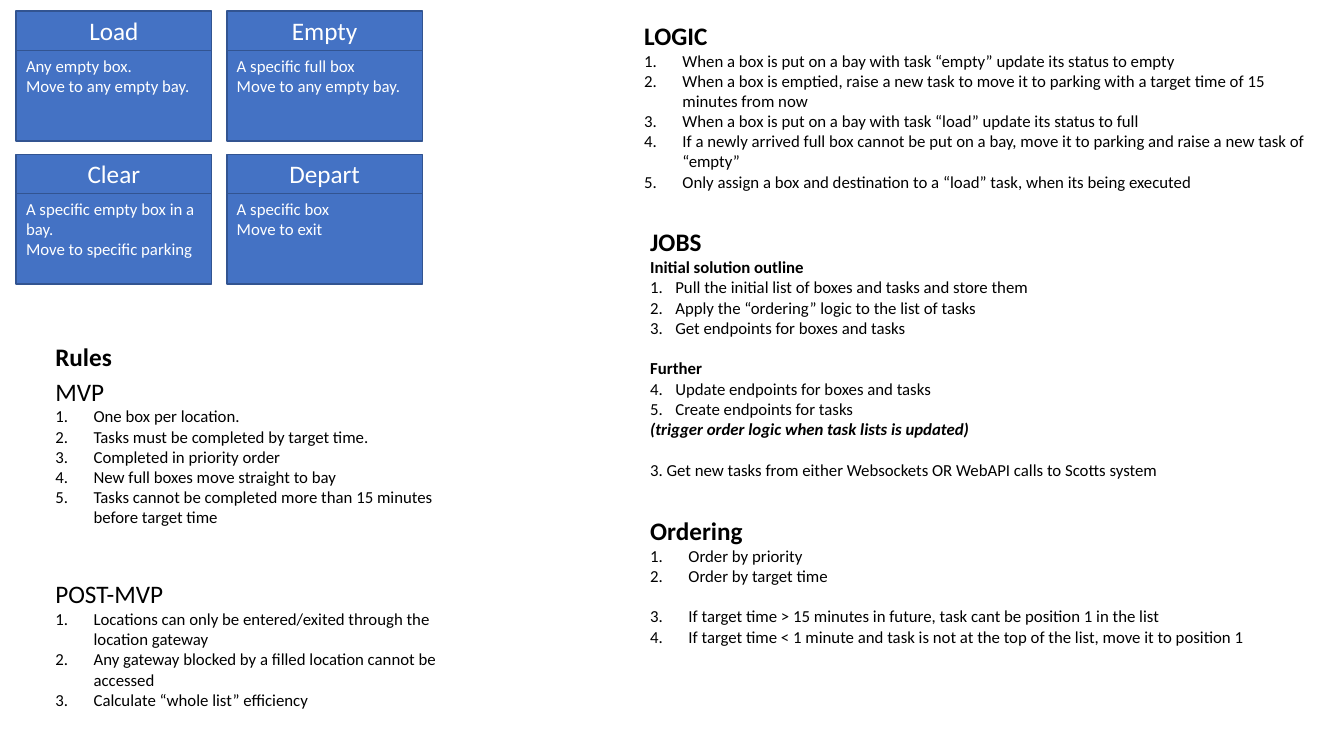
from dataclasses import dataclass

from lxml import etree
from pptx import Presentation
from pptx import util as u
from pptx.dml.color import RGBColor
from pptx.enum import shapes, text
from pptx.oxml.ns import qn


@dataclass(frozen=True)
class Theme:
    font: str = "Calibri"
    ink: str = "000000"
    card_fill: str = "4472C4"
    card_line: str = "325491"
    card_ink: str = "FFFFFF"
    heading: int = 18
    body: int = 12
    blank_line: float = 14.65


@dataclass(frozen=True)
class Line:
    words: str
    size: int
    bold: bool = False
    italic: bool = False
    number_from: int = 0
    gap: bool = False


class Board:
    def __init__(self, page, theme):
        self.page = page
        self.theme = theme

    def heading(self, words, bold=True):
        return Line(words, self.theme.heading, bold)

    def body(self, words, **options):
        return Line(words, self.theme.body, **options)

    def items(self, *entries, start=1):
        return [self.body(words, number_from=start) for words in entries]

    def set_lines(self, frame, lines, ink, indent=0.38, align=text.PP_ALIGN.LEFT):
        frame.word_wrap = True
        frame.text = "\n".join(line.words for line in lines)
        for para, line in zip(frame.paragraphs, lines):
            para.alignment = align
            if line.gap:
                para.space_before = u.Pt(self.theme.blank_line)
            if line.number_from:
                self.number(para, line.number_from, indent)
            for span in para.runs:
                span.font.name = self.theme.font
                span.font.size = u.Pt(line.size)
                span.font.bold = line.bold
                span.font.italic = line.italic
                span.font.color.rgb = RGBColor.from_string(ink)

    def number(self, para, start, indent):
        settings = para._p.get_or_add_pPr()
        settings.set("marL", str(u.Inches(indent)))
        settings.set("indent", str(-u.Inches(indent)))
        etree.SubElement(settings, qn("a:buFont"), typeface="+mj-lt")
        marker = etree.SubElement(settings, qn("a:buAutoNum"), type="arabicPeriod")
        if start > 1:
            marker.set("startAt", str(start))

    def notes(self, left, top, width, height, lines, indent=0.38):
        box = self.page.shapes.add_textbox(
            u.Inches(left), u.Inches(top), u.Inches(width), u.Inches(height))
        self.set_lines(box.text_frame, lines, self.theme.ink, indent)
        box.text_frame.auto_size = text.MSO_AUTO_SIZE.SHAPE_TO_FIT_TEXT

    def panel(self, group, left, top, width, height, lines, anchor, align):
        box = group.shapes.add_shape(
            shapes.MSO_SHAPE.RECTANGLE,
            u.Inches(left), u.Inches(top), u.Inches(width), u.Inches(height))
        box.shadow.inherit = False
        box.fill.solid()
        box.fill.fore_color.rgb = RGBColor.from_string(self.theme.card_fill)
        box.line.color.rgb = RGBColor.from_string(self.theme.card_line)
        box.line.width = u.Pt(1)
        box.text_frame.vertical_anchor = anchor
        self.set_lines(box.text_frame, lines, self.theme.card_ink, align=align)

    def card(self, left, top, title, details):
        width, title_height, details_height = 1.94, 0.39, 0.9
        group = self.page.shapes.add_group_shape()
        self.panel(group, left, top, width, title_height,
                   [self.heading(title, bold=False)],
                   text.MSO_ANCHOR.MIDDLE, text.PP_ALIGN.CENTER)
        self.panel(group, left, top + title_height, width, details_height,
                   [self.body(words) for words in details],
                   text.MSO_ANCHOR.TOP, text.PP_ALIGN.LEFT)


def main():
    deck = Presentation()
    deck.slide_width, deck.slide_height = u.Inches(13.33), u.Inches(7.5)
    board = Board(deck.slides.add_slide(deck.slide_layouts[6]), Theme())

    tasks = [
        ("Load", ["Any empty box.", "Move to any empty bay."]),
        ("Empty", ["A specific full box", "Move to any empty bay."]),
        ("Clear", ["A specific empty box in a bay.", "Move to specific parking"]),
        ("Depart", ["A specific box", "Move to exit"]),
    ]
    for index, (title, details) in enumerate(tasks):
        row, column = divmod(index, 2)
        board.card(0.16 + 2.09 * column, 0.11 + 1.42 * row, title, details)

    board.notes(0.45, 3.34, 4.02, 0.4, [board.heading("Rules")])
    board.notes(0.45, 3.68, 4.02, 1.62, [
        board.heading("MVP", bold=False),
        *board.items(
            "One box per location.",
            "Tasks must be completed by target time.",
            "Completed in priority order",
            "New full boxes move straight to bay",
            "Tasks cannot be completed more than 15 minutes before target time"),
    ])
    board.notes(0.45, 5.69, 4.02, 1.41, [
        board.heading("POST-MVP", bold=False),
        *board.items(
            "Locations can only be entered/exited through the location gateway",
            "Any gateway blocked by a filled location cannot be accessed",
            "Calculate “whole list” efficiency"),
    ])
    board.notes(6.29, 0.15, 6.88, 1.82, [
        board.heading("LOGIC"),
        *board.items(
            "When a box is put on a bay with task “empty” update its status to empty",
            "When a box is emptied, raise a new task to move it to parking "
            "with a target time of 15 minutes from now",
            "When a box is put on a bay with task “load” update its status to full",
            "If a newly arrived full box cannot be put on a bay, "
            "move it to parking and raise a new task of “empty”",
            "Only assign a box and destination to a “load” task, when its being executed"),
    ])
    board.notes(6.35, 5.06, 6.58, 1.41, [
        board.heading("Ordering"),
        *board.items("Order by priority", "Order by target time"),
        board.body("If target time > 15 minutes in future, "
                   "task cant be position 1 in the list", number_from=1, gap=True),
        *board.items("If target time < 1 minute and task is not at the top of the list, "
                     "move it to position 1"),
    ])
    board.notes(6.35, 2.2, 6.77, 2.63, [
        board.heading("JOBS"),
        board.body("Initial solution outline", bold=True),
        *board.items(
            "Pull the initial list of boxes and tasks and store them",
            "Apply the “ordering” logic to the list of tasks",
            "Get endpoints for boxes and tasks"),
        board.body("Further", bold=True, gap=True),
        *board.items("Update endpoints for boxes and tasks",
                     "Create endpoints for tasks", start=4),
        board.body("(trigger order logic when task lists is updated)",
                   bold=True, italic=True),
        board.body("3. Get new tasks from either Websockets OR WebAPI calls "
                   "to Scotts system", gap=True),
    ], indent=0.25)

    deck.save("out.pptx")


if __name__ == "__main__":
    main()
